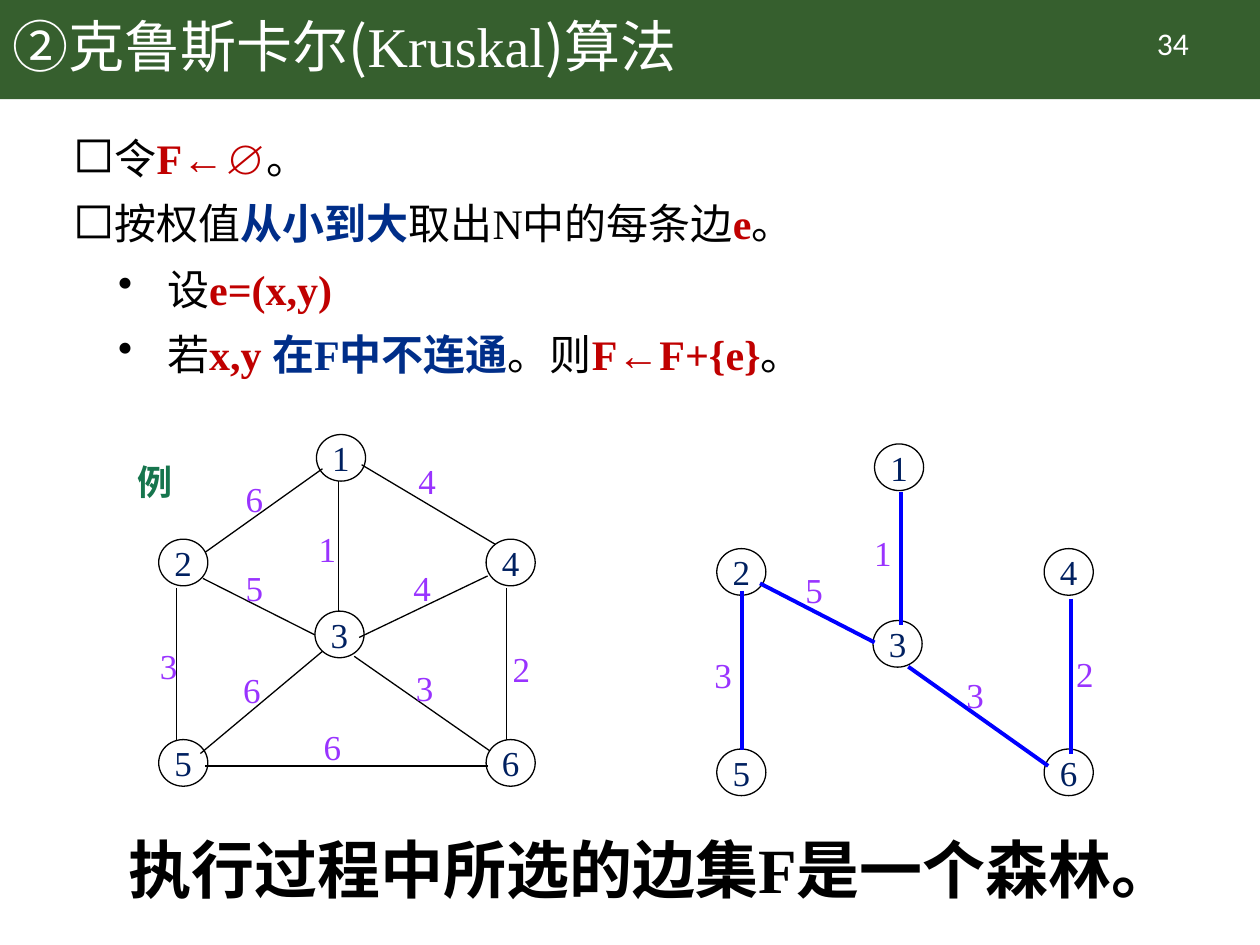
import pptx
import pptx.dml.color
import pptx.enum.shapes
import pptx.enum.text
import pptx.oxml.ns
import pptx.util
import lxml.etree

Cm = pptx.util.Cm
Pt = pptx.util.Pt
MIDDLE = pptx.enum.text.MSO_ANCHOR.MIDDLE
CENTER = pptx.enum.text.PP_ALIGN.CENTER
SERIF, SANS = "Times New Roman", "Noto Sans CJK SC"
BLACK, WHITE, RED, BLUE = "000000", "FFFFFF", "C00000", "002E89"


def color(value):
    return pptx.dml.color.RGBColor.from_string(value)


def write(shape, text, size, font, text_color, bold=False, centered=True, wrap=False):
    frame = shape.text_frame
    frame.word_wrap = wrap
    frame.vertical_anchor = MIDDLE
    paragraph = frame.paragraphs[0]
    paragraph.text = text
    if centered:
        paragraph.alignment = CENTER
    paragraph.font.size = Pt(size)
    paragraph.font.name = font
    paragraph.font.bold = bold
    paragraph.font.color.rgb = color(text_color)


presentation = pptx.Presentation()
presentation.slide_width = Cm(25.4)
presentation.slide_height = Cm(19.05)
slide = presentation.slides.add_slide(presentation.slide_layouts[6])
shapes = slide.shapes

# Header band, title and page number
band = shapes.add_shape(pptx.enum.shapes.MSO_SHAPE.RECTANGLE, 0, 0, Cm(25.4), Cm(2))
band.shadow.inherit = False
band.fill.solid()
band.fill.fore_color.rgb = color("365F2E")
band.line.fill.background()

title = shapes.add_textbox(0, 0, Cm(21.9), Cm(2))
title.text_frame.word_wrap = True
title.text_frame.vertical_anchor = MIDDLE
paragraph = title.text_frame.paragraphs[0]
paragraph.line_spacing = 0.9
paragraph.font.size = Pt(32)
paragraph.font.color.rgb = color(WHITE)
for text, font in [("②克鲁斯卡尔(", SANS), ("Kruskal", SERIF), (")算法", SANS)]:
    run = paragraph.add_run()
    run.text = text
    run.font.name = font

page_number = shapes.add_textbox(Cm(22.12), Cm(0.36), Cm(3.05), Cm(1.02))
write(page_number, "34", 18, "Calibri", WHITE, wrap=True)

# Steps of the algorithm: level, then runs of text and colour (black is regular)
steps = [
    (0, [("令", BLACK), ("F←∅", RED), ("。", BLACK)]),
    (0, [("按权值", BLACK), ("从小到大", BLUE), ("取出N中的每条边", BLACK),
         ("e", RED), ("。", BLACK)]),
    (1, [("设", BLACK), ("e=(x,y)", RED)]),
    (1, [("若", BLACK), ("x,y ", RED), ("在F中不连通", BLUE), ("。则", BLACK),
         ("F←F+{e}", RED), ("。", BLACK)]),
]
bullets = [("◻", 0.64, 120000), ("•", 1.9, 100000)]
body = shapes.add_textbox(Cm(1.22), Cm(2.24), Cm(23.67), Cm(8))
body.text_frame.word_wrap = True
for index, (level, runs) in enumerate(steps):
    paragraph = body.text_frame.paragraphs[0] if index == 0 else body.text_frame.add_paragraph()
    paragraph.level = level
    paragraph.line_spacing = 1.3
    character, margin, bullet_size = bullets[level]
    properties = paragraph._p.get_or_add_pPr()
    properties.set("marL", str(Cm(margin)))
    properties.set("indent", str(-Cm(0.99)))
    bullet_color = lxml.etree.SubElement(properties, pptx.oxml.ns.qn("a:buClr"))
    lxml.etree.SubElement(bullet_color, pptx.oxml.ns.qn("a:srgbClr"), val=BLACK)
    lxml.etree.SubElement(properties, pptx.oxml.ns.qn("a:buSzPct"), val=str(bullet_size))
    lxml.etree.SubElement(properties, pptx.oxml.ns.qn("a:buChar"), char=character)
    paragraph.font.size = Pt(24)
    paragraph.font.name = SERIF
    for text, run_color in runs:
        run = paragraph.add_run()
        run.text = text
        run.font.bold = run_color != BLACK
        run.font.color.rgb = color(run_color)

# Example heading
example = shapes.add_textbox(Cm(2.51), Cm(9.14), Cm(1.22), Cm(1.12))
write(example, "例", 20, SANS, "16754D", bold=True)

# Weighted graph and its spanning tree
nodes = {"1": (6.38, 8.76), "2": (3.2, 10.87), "3": (6.35, 12.32),
         "4": (9.8, 10.87), "5": (3.2, 14.91), "6": (9.8, 14.91)}

# Each edge: start x, y, end x, y, weight, label x, y
graph_edges = [
    (6.83, 9.7, 6.83, 12.34, "1", 6.17, 10.52),
    (6.5, 9.45, 4.14, 11.13, "6", 4.7, 9.5),
    (3.56, 11.86, 3.56, 14.94, "3", 2.97, 12.88),
    (10.21, 11.86, 10.21, 14.91, "2", 10.08, 12.93),
    (4.14, 15.44, 9.83, 15.44, "6", 6.27, 14.5),
    (7.29, 9.37, 9.98, 10.97, "4", 8.18, 9.14),
    (4.09, 11.66, 6.35, 12.8, "5", 4.7, 11.3),
    (9.83, 11.61, 7.24, 12.85, "4", 8.08, 11.3),
    (6.5, 13.13, 4.04, 15.19, "6", 4.65, 13.36),
    (7.14, 13.23, 9.88, 15.14, "3", 8.13, 13.31),
]
tree_edges = [
    (18.16, 9.91, 18.16, 12.6, "1", 17.37, 10.59),
    (21.59, 12.07, 21.59, 15.19, "2", 21.44, 13.03),
    (14.96, 11.91, 14.96, 15.11, "3", 14.15, 13.06),
    (18.31, 13.44, 21.13, 15.44, "3", 19.23, 13.46),
    (15.32, 11.76, 17.63, 12.95, "5", 15.98, 11.33),
]
drawings = [
    (0, 0, graph_edges, BLACK, 0.75),
    (11.25, 0.19, tree_edges, "0000FF", 2.25),
]
for offset_x, offset_y, edges, edge_color, edge_width in drawings:
    for name, (x, y) in nodes.items():
        node = shapes.add_shape(pptx.enum.shapes.MSO_SHAPE.OVAL,
                                Cm(x + offset_x), Cm(y + offset_y), Cm(0.99), Cm(0.94))
        node.shadow.inherit = False
        node.fill.background()
        node.line.color.rgb = color(BLACK)
        node.line.width = Pt(0.75)
        write(node, name, 20, SERIF, "002060")
    for start_x, start_y, end_x, end_y, weight, label_x, label_y in edges:
        edge = shapes.add_connector(pptx.enum.shapes.MSO_CONNECTOR.STRAIGHT,
                                    Cm(start_x), Cm(start_y), Cm(end_x), Cm(end_y))
        edge.line.color.rgb = color(edge_color)
        edge.line.width = Pt(edge_width)
        lxml.etree.SubElement(edge._element.spPr, pptx.oxml.ns.qn("a:effectLst"))
        label = shapes.add_textbox(Cm(label_x), Cm(label_y), Cm(0.86), Cm(1.09))
        write(label, weight, 20, SERIF, "9933FF")

# Conclusion
conclusion = shapes.add_textbox(Cm(2.34), Cm(16.61), Cm(23), Cm(1.63))
write(conclusion, "执行过程中所选的边集F是一个森林。", 36, SERIF, BLACK,
      bold=True, centered=False, wrap=True)
conclusion.text_frame.vertical_anchor = pptx.enum.text.MSO_ANCHOR.TOP

presentation.save("out.pptx")
